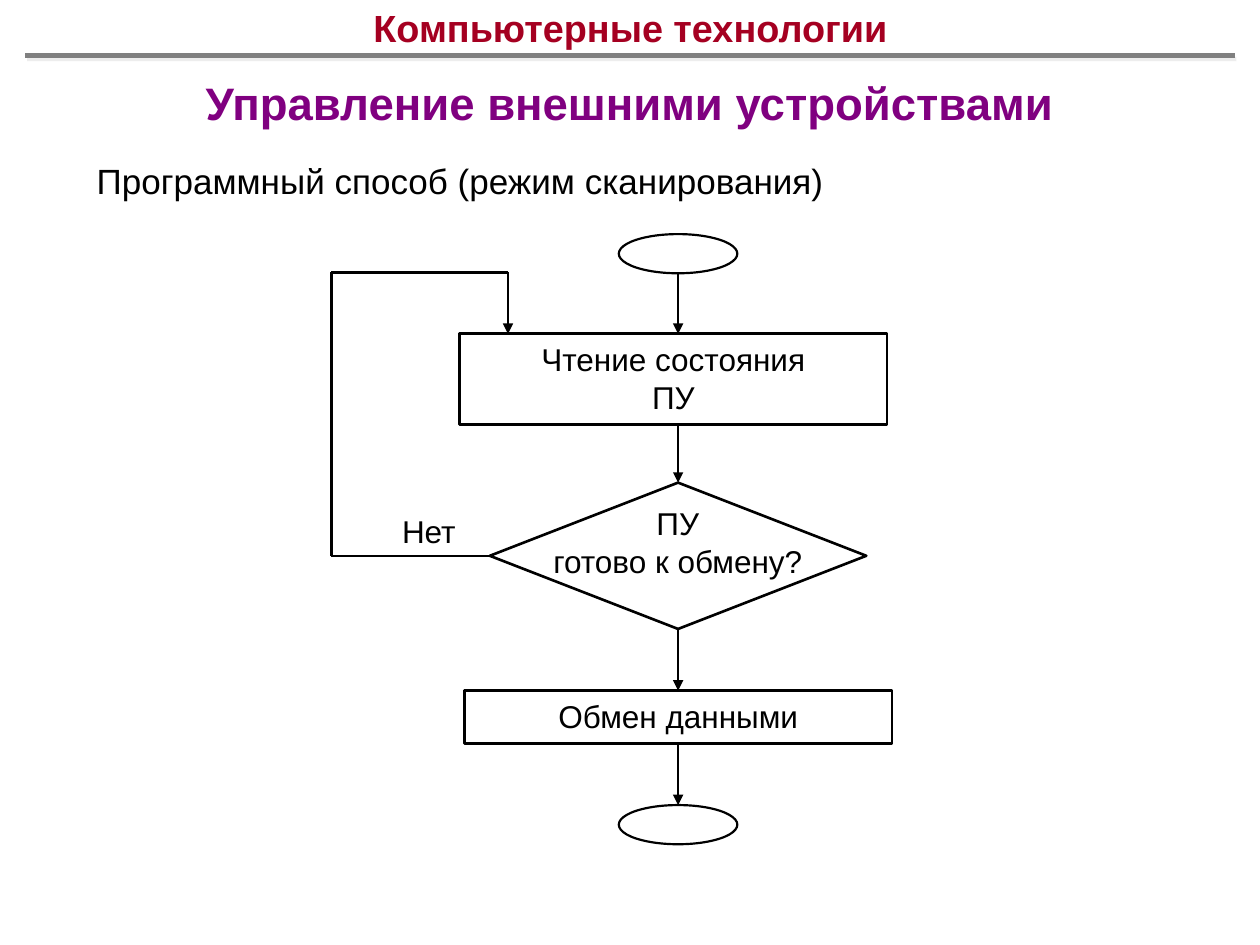
from lxml import etree
from pptx import Presentation
from pptx.dml.color import RGBColor
from pptx.enum.shapes import MSO_CONNECTOR, MSO_SHAPE
from pptx.enum.text import MSO_ANCHOR, PP_ALIGN
from pptx.oxml.ns import qn
from pptx.util import Cm, Pt

STRAIGHT = MSO_CONNECTOR.STRAIGHT
RECTANGLE, DIAMOND, OVAL = MSO_SHAPE.RECTANGLE, MSO_SHAPE.DIAMOND, MSO_SHAPE.OVAL
TOP, MIDDLE = MSO_ANCHOR.TOP, MSO_ANCHOR.MIDDLE
LEFT, CENTER = PP_ALIGN.LEFT, PP_ALIGN.CENTER

BLACK = RGBColor(0x00, 0x00, 0x00)
GRAY = RGBColor(0x80, 0x80, 0x80)
PURPLE = RGBColor(0x80, 0x00, 0x80)
CRIMSON = RGBColor(0xA5, 0x00, 0x21)
FONT = "Arial"

# Flowchart geometry, in centimetres
AXIS = 13.67
LOOP_LEFT, LOOP_RIGHT, LOOP_TOP = 6.68, 10.24, 5.49
START_TOP, OVAL_WIDTH, OVAL_HEIGHT = 4.72, 2.39, 0.79
READ_TOP, READ_HEIGHT = 6.73, 1.83
CHECK_TOP, CHECK_WIDTH, CHECK_HEIGHT = 9.73, 7.59, 2.95
EXCHANGE_TOP, EXCHANGE_HEIGHT = 13.92, 1.07
END_TOP = 16.23
STEP_WIDTH = 8.61


def write_text(shape, paragraphs, size, color=BLACK, bold=False, align=CENTER,
               anchor=TOP, wrap=True):
    """Fill a shape with paragraphs; a newline inside one is a line break."""
    frame = shape.text_frame
    frame.word_wrap = wrap
    frame.vertical_anchor = anchor
    for index, text in enumerate(paragraphs):
        para = frame.add_paragraph() if index else frame.paragraphs[0]
        para.alignment = align
        for row, line in enumerate(text.split("\n")):
            if row:
                para.add_line_break()
            span = para.add_run()
            span.text = line
            span.font.name = FONT
            span.font.size = Pt(size)
            span.font.bold = bold
            span.font.color.rgb = color


def add_label(page, left, top, width, height, paragraphs, size, **style):
    box = page.shapes.add_textbox(Cm(left), Cm(top), Cm(width), Cm(height))
    write_text(box, paragraphs, size, **style)
    return box


def add_outline(page, kind, left, top, width, height, weight=1.5):
    """Add an unfilled flowchart symbol."""
    shape = page.shapes.add_shape(kind, Cm(left), Cm(top), Cm(width), Cm(height))
    shape.shadow.inherit = False
    shape.fill.background()
    shape.line.color.rgb = BLACK
    shape.line.width = Pt(weight)
    return shape


def add_line(page, x1, y1, x2, y2, color=BLACK, weight=1.5, arrow=False):
    """Add a straight line and return its empty effect list."""
    line = page.shapes.add_connector(STRAIGHT, Cm(x1), Cm(y1), Cm(x2), Cm(y2))
    line.line.color.rgb = color
    line.line.width = Pt(weight)
    properties = line._element.spPr
    if arrow:
        etree.SubElement(properties.find(qn("a:ln")), qn("a:tailEnd"), type="triangle")
    return etree.SubElement(properties, qn("a:effectLst"))


def add_header(page):
    add_label(page, 0, 1.52, 25.4, 1.07, ["Управление внешними устройствами"], 26,
              color=PURPLE, bold=True, anchor=MIDDLE)
    effects = add_line(page, 0.51, 1.12, 24.89, 1.12, GRAY, 2.5)
    shadow = etree.SubElement(effects, qn("a:outerShdw"), blurRad="0",
                              dist=str(Pt(2.2)), dir=str(63 * 60000))
    tint = etree.SubElement(shadow, qn("a:srgbClr"), val="DDDDDD")
    etree.SubElement(tint, qn("a:alpha"), val="50000")
    add_label(page, 0.51, 0, 24.4, 1.12, ["Компьютерные технологии"], 21.6,
              color=CRIMSON, bold=True, anchor=MIDDLE)
    subtitle = add_label(page, 1.7, 2.92, 23.2, 1.4,
                         ["Программный способ (режим сканирования)"], 20, align=LEFT)
    subtitle.text_frame.paragraphs[0].line_spacing = 1.2


def add_symbols(page):
    for top in (START_TOP, END_TOP):
        add_outline(page, OVAL, AXIS - OVAL_WIDTH / 2, top, OVAL_WIDTH, OVAL_HEIGHT, 1.25)
    read = add_outline(page, RECTANGLE, 9.27, READ_TOP, STEP_WIDTH, READ_HEIGHT)
    write_text(read, ["Чтение состояния\nПУ"], 18)
    exchange = add_outline(page, RECTANGLE, 9.37, EXCHANGE_TOP, STEP_WIDTH, EXCHANGE_HEIGHT)
    write_text(exchange, ["Обмен данными"], 18)
    add_outline(page, DIAMOND, AXIS - CHECK_WIDTH / 2, CHECK_TOP, CHECK_WIDTH, CHECK_HEIGHT)
    add_label(page, 10.87, 10.03, 5.59, 1.78, ["ПУ", "готово к обмену?"], 18, wrap=False)
    add_label(page, 7.44, 10.19, 2.41, 1.02, ["Нет"], 18)


def add_flow(page):
    """Link the symbols downwards and draw the waiting loop."""
    links = [
        (START_TOP + OVAL_HEIGHT, READ_TOP),
        (READ_TOP + READ_HEIGHT, CHECK_TOP),
        (CHECK_TOP + CHECK_HEIGHT, EXCHANGE_TOP),
        (EXCHANGE_TOP + EXCHANGE_HEIGHT, END_TOP),
    ]
    for start, end in links:
        add_line(page, AXIS, start, AXIS, end, arrow=True)

    check_middle = CHECK_TOP + CHECK_HEIGHT / 2
    corners = [
        (AXIS - CHECK_WIDTH / 2, check_middle),
        (LOOP_LEFT, check_middle),
        (LOOP_LEFT, LOOP_TOP),
        (LOOP_RIGHT, LOOP_TOP),
        (LOOP_RIGHT, READ_TOP),
    ]
    for start, end in zip(corners, corners[1:]):
        add_line(page, *start, *end, arrow=end == corners[-1])


def main():
    deck = Presentation()
    deck.slide_width, deck.slide_height = Cm(25.4), Cm(19.05)
    page = deck.slides.add_slide(deck.slide_layouts[6])
    add_header(page)
    add_symbols(page)
    add_flow(page)
    deck.save("out.pptx")


if __name__ == "__main__":
    main()
